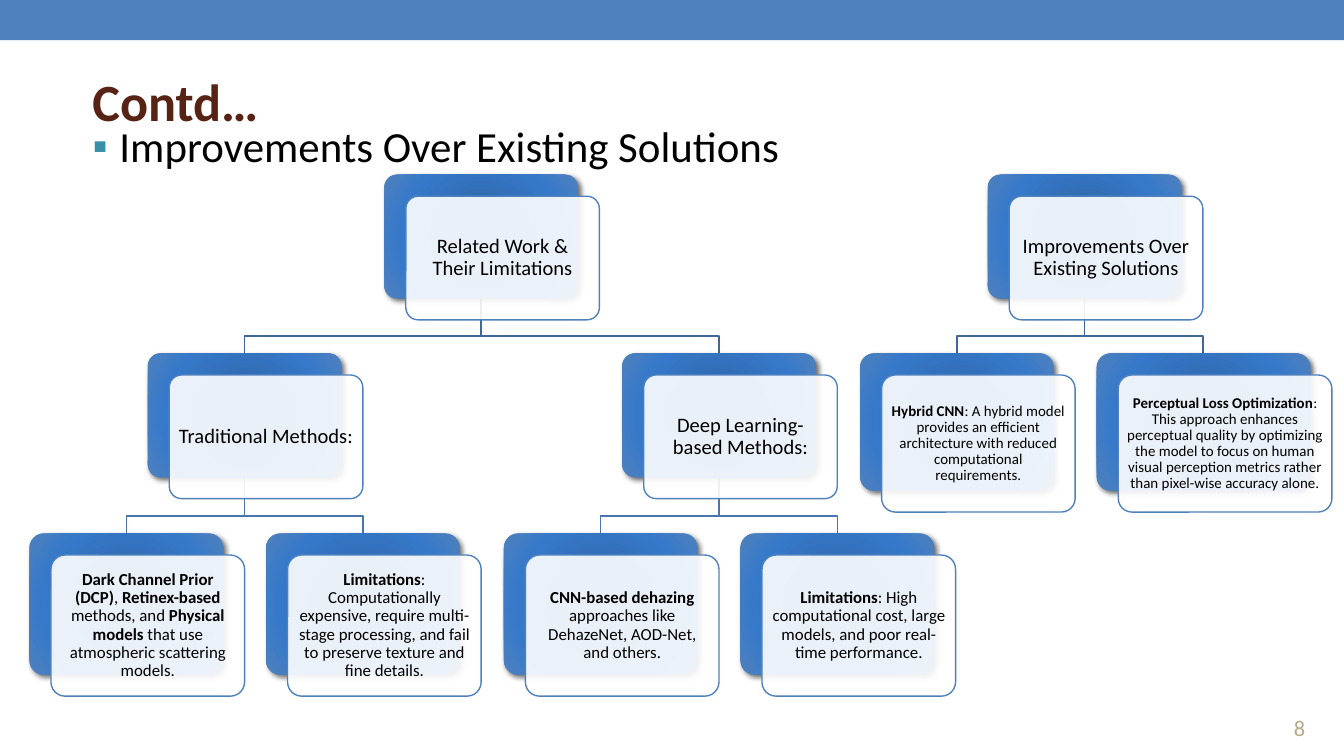
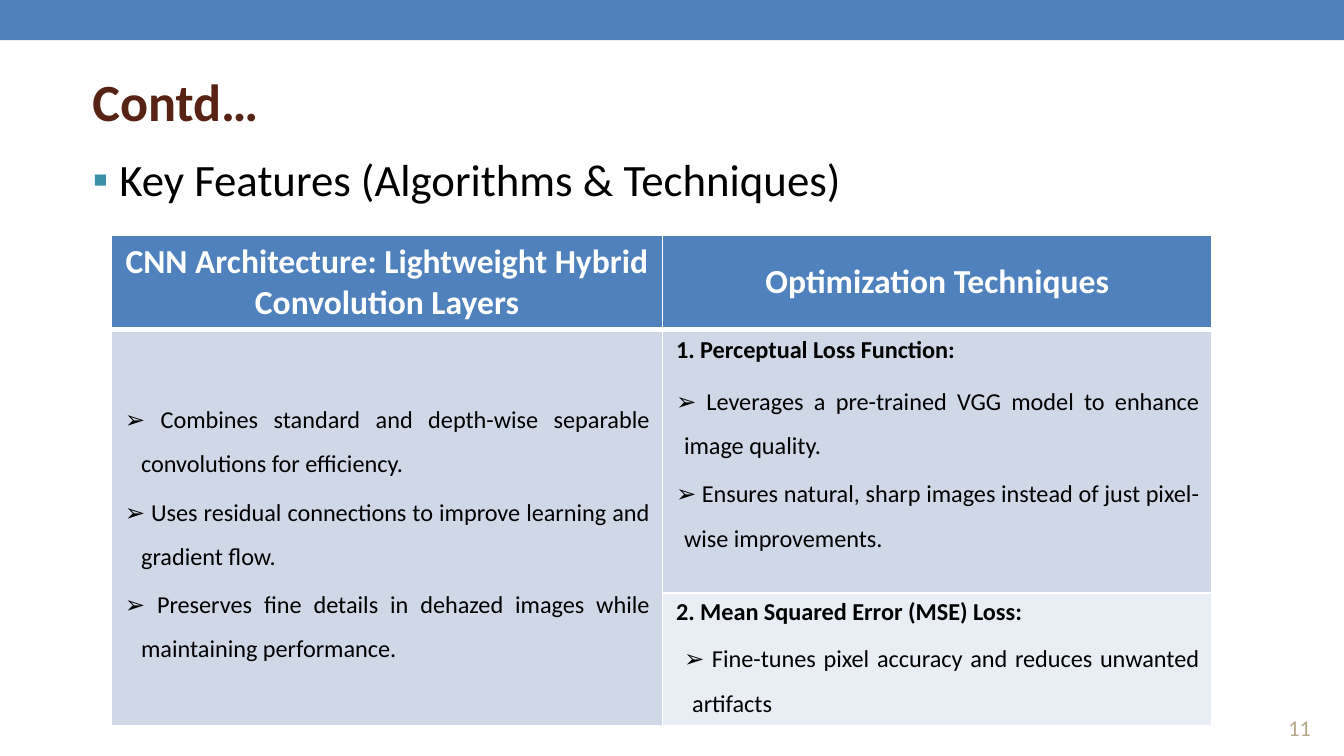
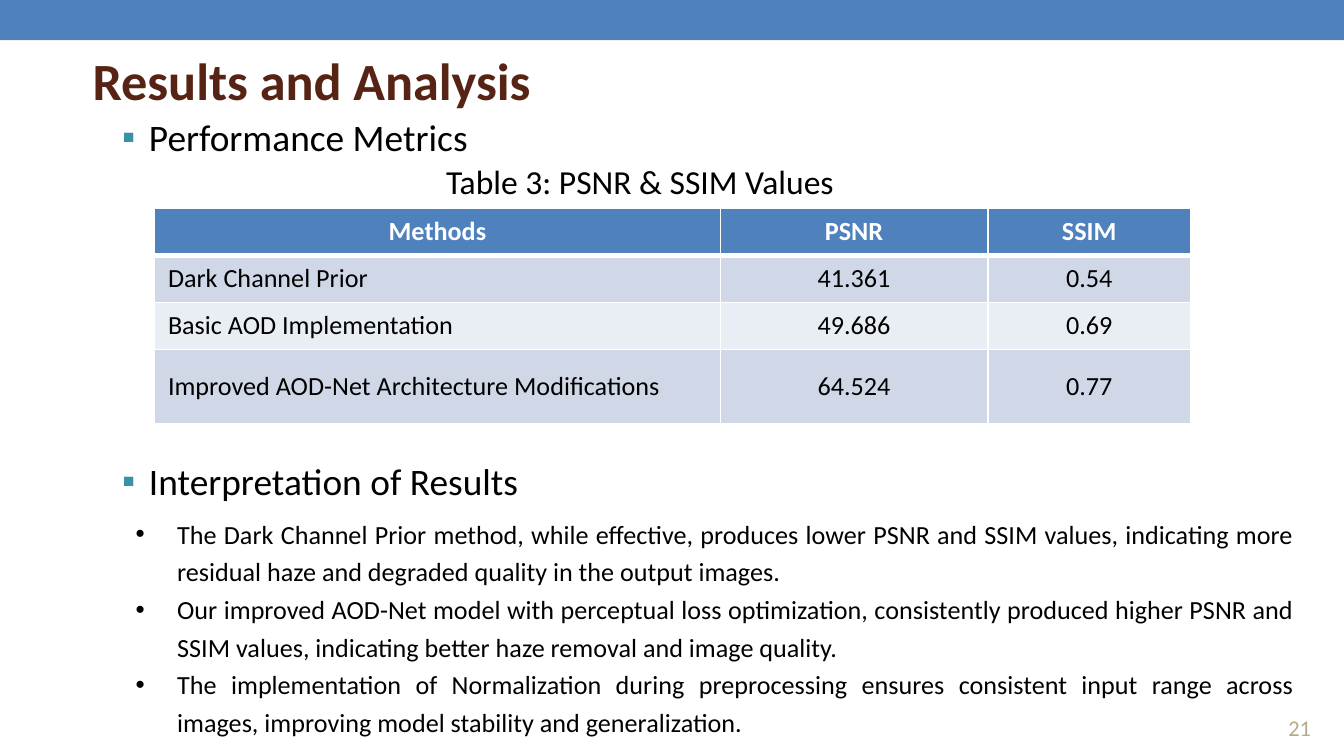
from dataclasses import dataclass, field

from lxml.etree import SubElement
from pptx import Presentation
from pptx.dml.color import RGBColor
from pptx.enum.shapes import MSO_SHAPE
from pptx.enum.text import MSO_ANCHOR, PP_ALIGN
from pptx.oxml.ns import qn
from pptx.util import Pt

PX = 9144  # 100 px to the inch


@dataclass(frozen=True)
class Theme:
    font: str = "Calibri"
    bullet_font: str = "Arial"
    accent: str = "4F81BD"
    title: str = "572314"
    number: str = "B5A989"
    bullet: str = "3891A7"
    text: str = "000000"
    white: str = "FFFFFF"
    bands: tuple = ("D0D8E8", "E9EDF4")
    links: tuple = ("3F6797", "4875AC")
    gradient: tuple = ((0, "2C6CB9"), (34, "316DB5"), (70, "3679CA"), (100, "4F81BD"))
    title_pt: int = 28
    number_pt: int = 12
    caption_pt: int = 18
    body_pt: int = 14
    cell_pt: int = 13


T = Theme()


@dataclass
class Style:
    """Paragraph format values and an optional bullet; indents are in px."""
    values: dict = field(default_factory=dict)
    bullet: str = ""
    color: str = ""
    left: int = 0
    hang: int = 0


@dataclass
class Card:
    x: int
    text: str
    w: int = 144
    h: int = 92
    pt: int = 11
    inset: int = 4
    children: tuple = ()


PLAIN = Style()
CENTER = Style({"alignment": PP_ALIGN.CENTER})
CARD = Style({"alignment": PP_ALIGN.CENTER, "line_spacing": 0.9})
HEADING = Style(bullet="▪", color=T.bullet, left=20, hang=-26)
FINDING = Style({"alignment": PP_ALIGN.JUSTIFY, "line_spacing": 1.2}, "•", left=31, hang=-31)
SUBHEAD = Style({"line_spacing": 0.9, "space_after": Pt(4.5)})
NEXT_SUBHEAD = Style({"line_spacing": 0.9, "space_after": Pt(2), "level": 1}, left=12, hang=-12)


def arrow_item(left, hang, level=1):
    return Style({"alignment": PP_ALIGN.JUSTIFY, "line_spacing": 1.5,
                  "space_after": Pt(2), "level": level}, "➢", left=left, hang=hang)


def px(*lengths):
    return [n * PX for n in lengths]


def rgb(color):
    return RGBColor.from_string(color)


def apply(obj, values):
    for name, value in values.items():
        setattr(obj, name, value)


def add_xml(parent, tag, **attrs):
    return SubElement(parent, qn(tag), {k: str(v) for k, v in attrs.items()})


def set_bullet(p, style):
    pPr = p._p.get_or_add_pPr()
    pPr.set("marL", str(style.left * PX))
    pPr.set("indent", str(style.hang * PX))
    if style.color:
        add_xml(add_xml(pPr, "a:buClr"), "a:srgbClr", val=style.color)
    if style.bullet:
        add_xml(pPr, "a:buFont", typeface=T.bullet_font)
        add_xml(pPr, "a:buChar", char=style.bullet)
    else:
        add_xml(pPr, "a:buNone")


def write(tf, paragraphs, pt, color=T.text, bold=False):
    """Write (text, style) pairs; text between ** marks is bold."""
    for i, (text, style) in enumerate(paragraphs):
        p = tf.paragraphs[0] if i == 0 else tf.add_paragraph()
        if style.bullet or style.left:
            set_bullet(p, style)
        apply(p, style.values)
        for j, part in enumerate(text.split("**")):
            if part:
                r = p.add_run()
                r.text = part
                apply(r.font, {"name": T.font, "size": Pt(pt), "bold": bold or j % 2 == 1})
                r.font.color.rgb = rgb(color)


def add_text(s, box, paragraphs, pt, color=T.text, bold=False, anchor=MSO_ANCHOR.TOP, wrap=True):
    tf = s.shapes.add_textbox(*px(*box)).text_frame
    apply(tf, {"word_wrap": wrap, "vertical_anchor": anchor})
    write(tf, paragraphs, pt, color, bold)


def add_box(s, kind, box, fill):
    sp = s.shapes.add_shape(kind, *px(*box))
    sp.shadow.inherit = False
    sp.fill.solid()
    sp.fill.fore_color.rgb = rgb(fill)
    sp.line.fill.background()
    return sp


def base_slide(prs, title, title_box, number):
    s = prs.slides.add_slide(prs.slide_layouts[6])
    add_box(s, MSO_SHAPE.RECTANGLE, (0, 0, 1000, 30), T.accent)
    add_text(s, title_box, [(title, PLAIN)], T.title_pt, T.title, True, MSO_ANCHOR.MIDDLE)
    add_text(s, (942, 517, 50, 39), [(number, CENTER)], T.number_pt, T.number,
             anchor=MSO_ANCHOR.BOTTOM)
    return s


def add_heading(s, box, text, pt):
    add_text(s, box, [(text, HEADING)], pt)


def set_gradient(sp):
    sp.fill.gradient()
    grad = sp.element.spPr.find(qn("a:gradFill"))
    for child in list(grad):
        grad.remove(child)
    stops = add_xml(grad, "a:gsLst")
    for pos, color in T.gradient:
        add_xml(add_xml(stops, "a:gs", pos=pos * 1000), "a:srgbClr", val=color)
    route = add_xml(grad, "a:path", path="circle")
    add_xml(route, "a:fillToRect", **dict.fromkeys("ltrb", 100000))


def set_shadow(sp):
    effects = sp.element.spPr.find(qn("a:effectLst"))
    shadow = add_xml(effects, "a:outerShdw", blurRad=Pt(3), dist=Pt(2), dir=45 * 60000,
                     algn="tl", rotWithShape=0)
    add_xml(add_xml(shadow, "a:srgbClr", val="000000"), "a:alpha", val=60000)


def add_card(s, card, top):
    """Draw a blue plate with a translucent text panel shifted over it."""
    shift = 16
    plate = add_box(s, MSO_SHAPE.ROUNDED_RECTANGLE, (card.x, top, card.w, card.h), T.accent)
    set_gradient(plate)
    set_shadow(plate)
    panel = add_box(s, MSO_SHAPE.ROUNDED_RECTANGLE,
                    (card.x + shift, top + shift, card.w, card.h), T.white)
    add_xml(panel.element.spPr.find(".//" + qn("a:srgbClr")), "a:alpha", val=90000)
    panel.line.color.rgb = rgb(T.accent)
    panel.line.width = Pt(0.75)
    for sp in (plate, panel):
        sp.adjustments[0] = 0.1
    tf = panel.text_frame
    margins = [f"margin_{side}" for side in ("left", "top", "right", "bottom")]
    apply(tf, dict.fromkeys(margins, card.inset * PX))
    apply(tf, {"word_wrap": True, "vertical_anchor": MSO_ANCHOR.MIDDLE})
    write(tf, [(card.text, CARD)], card.pt)


def add_elbow(s, start, end, color):
    (x1, y1), (x2, y2) = start, end
    bend = y2 - 13
    builder = s.shapes.build_freeform(x1, y1, scale=PX)
    builder.add_line_segments([(x1, bend), (x2, bend), (x2, y2)], close=False)
    sp = builder.convert_to_shape()
    sp.shadow.inherit = False
    sp.fill.background()
    sp.line.color.rgb = rgb(color)
    sp.line.width = Pt(0.75)


def add_links(s, card, tops, level=0):
    start = (card.x + card.w // 2, tops[level] + card.h)
    for child in card.children:
        add_elbow(s, start, (child.x + child.w // 2, tops[level + 1]), T.links[level])
        add_links(s, child, tops, level + 1)


def add_cards(s, card, tops, level=0):
    add_card(s, card, tops[level])
    for child in card.children:
        add_cards(s, child, tops, level + 1)


def add_borders(cell, bottom):
    tcPr = cell._tc.get_or_add_tcPr()
    for side, width in (("L", 1), ("R", 1), ("T", 1), ("B", bottom)):
        ln = add_xml(tcPr, f"a:ln{side}", w=Pt(width))
        add_xml(add_xml(ln, "a:solidFill"), "a:srgbClr", val=T.white)


def add_table(s, left, top, cols, rows):
    table = s.shapes.add_table(len(rows), len(cols),
                               *px(left, top, sum(cols), sum(rows))).table
    for col, width in zip(table.columns, cols):
        col.width = width * PX
    for i, (row, height) in enumerate(zip(table.rows, rows)):
        row.height = height * PX
        for cell in row.cells:
            add_borders(cell, 3 if i == 0 else 1)
            cell.fill.solid()
            cell.fill.fore_color.rgb = rgb(T.bands[(i - 1) % 2] if i else T.accent)
            cell.vertical_anchor = MSO_ANCHOR.MIDDLE
    return table


def write_header(table, labels, pt):
    for cell, label in zip(table.rows[0].cells, labels):
        write(cell.text_frame, [(label, CENTER)], pt, T.white, True)


def improvements_slide(prs):
    s = base_slide(prs, "Contd…", (59, 28, 907, 94), "8")
    detail = {"h": 105, "pt": 9}
    gain = {"h": 102, "pt": 8, "inset": 3}
    roots = (
        Card(286, "Related Work & Their Limitations", children=(
            Card(110, "Traditional Methods:", children=(
                Card(22, "**Dark Channel Prior (DCP)**, **Retinex-based** methods, and "
                     "**Physical models** that use atmospheric scattering models.", **detail),
                Card(198, "**Limitations**: Computationally expensive, require multi-stage "
                     "processing, and fail to preserve texture and fine details.", **detail))),
            Card(463, "Deep Learning-based Methods:", children=(
                Card(375, "**CNN-based dehazing** approaches like DehazeNet, AOD-Net, "
                     "and others.", **detail),
                Card(551, "**Limitations**: High computational cost, large models, and poor "
                     "real-time performance.", **detail))))),
        Card(735, "Improvements Over Existing Solutions", children=(
            Card(640, "**Hybrid CNN**: A hybrid model provides an efficient architecture "
                 "with reduced computational requirements.", **gain),
            Card(816, "**Perceptual Loss Optimization**: This approach enhances perceptual "
                 "quality by optimizing the model to focus on human visual perception metrics "
                 "rather than pixel-wise accuracy alone.", w=159, **gain))))
    tops = (130, 263, 397)
    for draw in (add_links, add_cards):
        for root in roots:
            draw(s, root, tops)
    add_heading(s, (59, 84, 918, 57), "Improvements Over Existing Solutions", 23)


def features_slide(prs):
    s = base_slide(prs, "Contd…", (59, 28, 907, 94), "11")
    add_heading(s, (59, 108, 882, 404), "Key Features (Algorithms & Techniques)", 24)
    table = add_table(s, 83, 175, (410, 409), (70, 196, 99))
    write_header(table, ("CNN Architecture: Lightweight Hybrid Convolution Layers",
                         "Optimization Techniques"), 18)
    table.cell(1, 0).merge(table.cell(2, 0))
    wide, narrow, deep = arrow_item(12, -12), arrow_item(6, -6), arrow_item(12, -6, 2)
    cells = {
        (1, 0): [
            (" Combines standard and depth-wise separable convolutions for efficiency.", wide),
            (" Uses residual connections to improve learning and gradient flow.", wide),
            (" Preserves fine details in dehazed images while maintaining performance.", wide)],
        (1, 1): [
            ("**1. Perceptual Loss Function:**", SUBHEAD),
            (" Leverages a pre-trained VGG model to enhance image quality.", narrow),
            (" Ensures natural, sharp images instead of just pixel-wise improvements.", narrow)],
        (2, 1): [
            ("**2. Mean Squared Error (MSE) Loss:**", NEXT_SUBHEAD),
            (" Fine-tunes pixel accuracy and reduces unwanted artifacts", deep)],
    }
    for place, paragraphs in cells.items():
        write(table.cell(*place).text_frame, paragraphs, T.cell_pt)
    table.cell(1, 1).margin_bottom = 28 * PX


def results_slide(prs):
    s = base_slide(prs, "Results and Analysis", (59, 34, 591, 50), "21")
    table = add_table(s, 115, 155, (421, 199, 151), (35, 35, 35, 55))
    write_header(table, ("Methods", "PSNR", "SSIM"), T.body_pt)
    scores = (("Dark Channel Prior", "41.361", "0.54"),
              ("Basic AOD Implementation", "49.686", "0.69"),
              ("Improved AOD-Net Architecture Modifications", "64.524", "0.77"))
    for i, row in enumerate(scores, 1):
        for j, value in enumerate(row):
            write(table.cell(i, j).text_frame, [(value, CENTER if j else PLAIN)], T.body_pt)
    add_text(s, (322, 115, 309, 40), [("Table 3: PSNR & SSIM Values", PLAIN)],
             T.caption_pt, wrap=False)
    for top, text in ((80, "Performance Metrics"), (336, "Interpretation of Results")):
        add_heading(s, (81, top, 859, 44), text, 20)
    findings = (
        "The Dark Channel Prior method, while effective, produces lower PSNR and SSIM values, "
        "indicating more residual haze and degraded quality in the output images.",
        "Our improved AOD-Net model with perceptual loss optimization, consistently produced "
        "higher PSNR and SSIM values, indicating better haze removal and image quality.",
        "The implementation of Normalization during preprocessing ensures consistent input "
        "range across images, improving model stability and generalization.")
    add_text(s, (91, 376, 882, 177), [(text, FINDING) for text in findings], T.body_pt)


def main():
    prs = Presentation()
    prs.slide_width = 1000 * PX
    prs.slide_height = prs.slide_width * 9 // 16
    improvements_slide(prs)
    features_slide(prs)
    results_slide(prs)
    prs.save("out.pptx")


if __name__ == "__main__":
    main()
